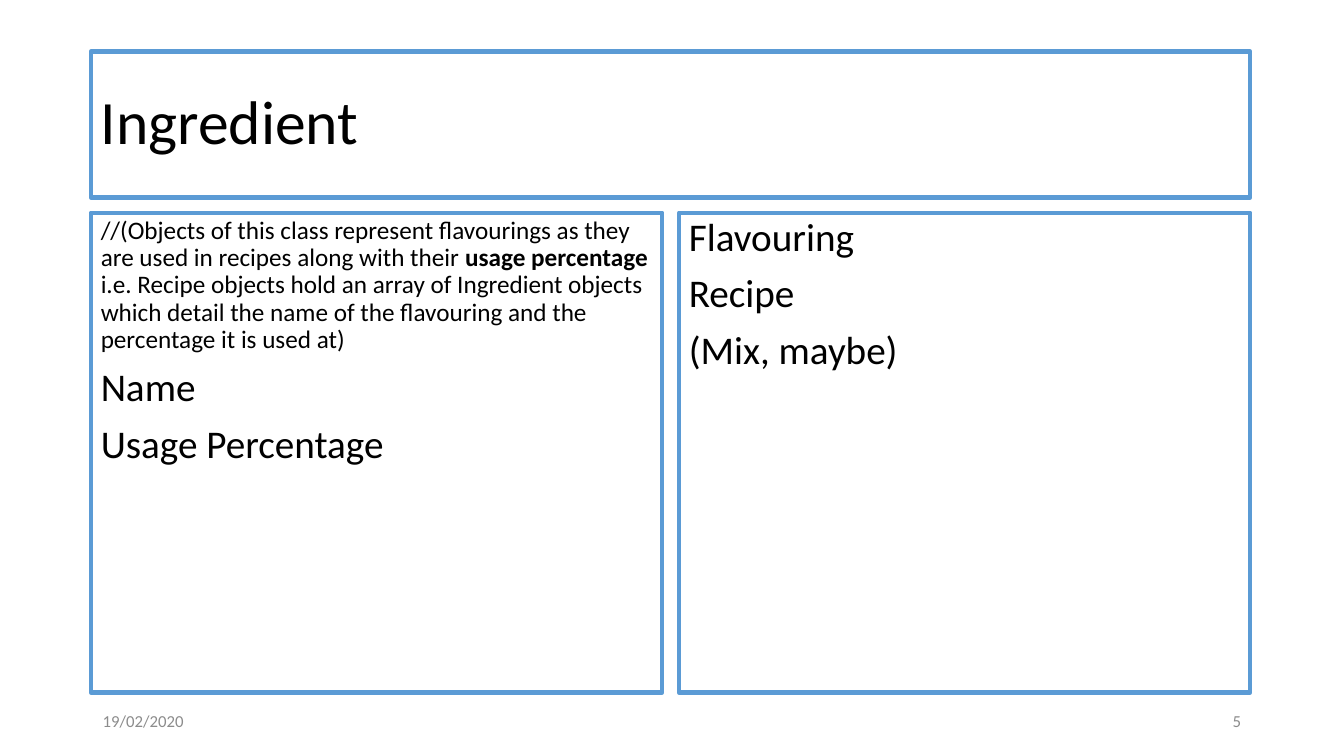
from pptx import Presentation
from pptx.dml.color import RGBColor
from pptx.enum.text import MSO_ANCHOR as ANCHOR, PP_ALIGN as ALIGN
from pptx.util import Cm, Pt

FONT, BLACK, GREY, BLUE = "Calibri", "000000", "8C8C8C", "5B9BD5"

# Each paragraph is (size, [(text, bold), ...])
TITLE = [(44, [("Ingredient", False)])]
FIELDS = [
    (18, [
        ("//(Objects of this class represent flavourings as they are used "
         "in recipes along with their ", False),
        ("usage percentage ", True),
        ("i.e. Recipe objects hold an array of Ingredient objects which "
         "detail the name of the flavouring and the percentage it is used at)",
         False),
    ]),
    (28, [("Name", False)]),
    (28, [("Usage Percentage", False)]),
]
COLLABORATORS = [(28, [(name, False)])
                 for name in ("Flavouring", "Recipe", "(Mix, maybe)")]
DATE = [(12, [("19/02/2020", False)])]
NUMBER = [(12, [("5", False)])]

# Lengths in centimetres
SLIDE_W, SLIDE_H = 33.87, 19.05
LEFT, WIDTH, GAP = 2.29, 29.22, 0.42
TITLE_TOP, TITLE_H = 1.3, 3.68
CARD_TOP, CARD_H = 5.36, 12.09
CARD_W = (WIDTH - GAP) / 2
FOOT_LEFT, FOOT_TOP, FOOT_W, FOOT_H = 2.34, 17.65, 7.62, 1.02


def rgb(value):
    """Turn a hex string into a colour."""
    return RGBColor.from_string(value)


def add_text(slide, box, paragraphs, color=BLACK, anchor=ANCHOR.MIDDLE,
             align=ALIGN.LEFT, spacing=None, before=0):
    """Add a wrapped text box at (left, top, width, height) in cm."""
    s = slide.shapes.add_textbox(*map(Cm, box))
    tf = s.text_frame
    tf.word_wrap = True
    tf.vertical_anchor = anchor
    for i, (size, runs) in enumerate(paragraphs):
        p = tf.add_paragraph() if i else tf.paragraphs[0]
        p.alignment = align
        p.line_spacing = spacing
        p.space_before = Pt(before)
        for text, bold in runs:
            r = p.add_run()
            r.text = text
            r.font.name, r.font.size, r.font.bold = FONT, Pt(size), bold
            r.font.color.rgb = rgb(color)
    return s


def add_card(slide, box, paragraphs, **options):
    """Add a text box with a blue outline."""
    s = add_text(slide, box, paragraphs, spacing=0.9, **options)
    s.line.color.rgb = rgb(BLUE)
    s.line.width = Pt(3)


prs = Presentation()
prs.slide_width, prs.slide_height = Cm(SLIDE_W), Cm(SLIDE_H)
slide = prs.slides.add_slide(prs.slide_layouts[6])

add_card(slide, (LEFT, TITLE_TOP, WIDTH, TITLE_H), TITLE)
for i, content in enumerate((FIELDS, COLLABORATORS)):
    add_card(slide, (LEFT + i * (CARD_W + GAP), CARD_TOP, CARD_W, CARD_H),
             content, anchor=ANCHOR.TOP, before=10)

for left, content, align in (
        (FOOT_LEFT, DATE, ALIGN.LEFT),
        (SLIDE_W - FOOT_LEFT - FOOT_W, NUMBER, ALIGN.RIGHT)):
    add_text(slide, (left, FOOT_TOP, FOOT_W, FOOT_H), content,
             color=GREY, align=align)

prs.save("out.pptx")
